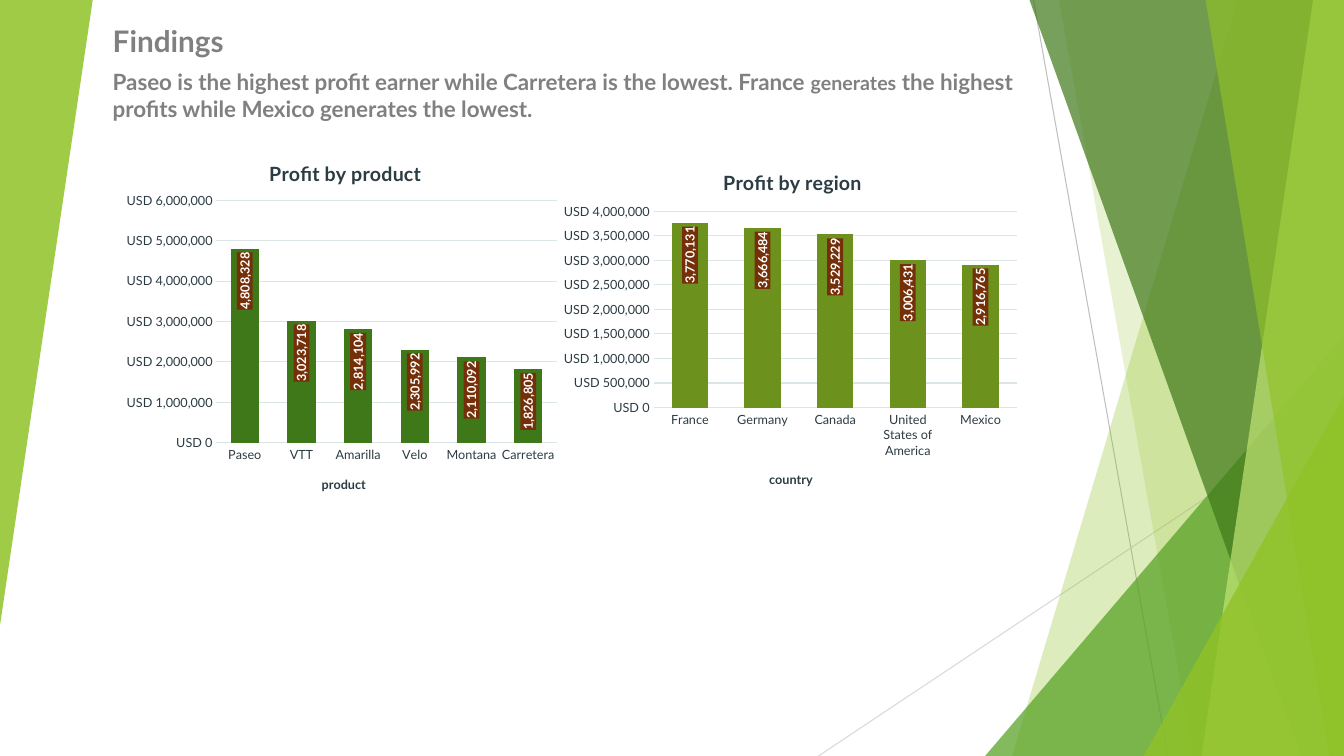
from typing import NamedTuple

from lxml import etree
from pptx import Presentation
from pptx import util as u
from pptx.chart.data import CategoryChartData
from pptx.dml.color import RGBColor
from pptx.enum import chart as ce, shapes as se
from pptx.oxml import parse_xml
from pptx.oxml.ns import nsdecls, qn

class Theme(NamedTuple):
    font: str = "Lato"
    heading: str = "808080"
    ink: str = "2C3C43"
    rule: str = "DBE4E7"
    label_text: str = "FFFFFF"
    label_fill: str = "75300A"
    lime: str = "90C226"
    pale_lime: str = "C0E474"
    leaf: str = "54A021"
    forest: str = "3F7819"
    olive: str = "6C921D"
    thin: float = 0.75
    heading_size: float = 21.2
    body_size: float = 16
    small_size: float = 14
    chart_size: float = 9

class Box(NamedTuple):  # percentages of the slide
    left: float
    top: float
    width: float
    height: float

    def emu(self) -> tuple[int, int, int, int]:
        return across(self.left), down(self.top), across(self.width), down(self.height)

class Ray(NamedTuple):
    start: tuple[float, float]
    end: tuple[float, float]
    color: str

class Facet(NamedTuple):  # full-height band from a slanted left edge to the right side
    top_x: float
    bottom_x: float
    color: str
    opacity: int

class Wedge(NamedTuple):
    box: Box
    color: str
    opacity: int
    rotation: int = 0

class Phrase(NamedTuple):
    words: str
    size: float

class ProfitChart(NamedTuple):  # plot and title_at are shares of the chart
    title: str
    axis_title: str
    box: Box
    color: str
    profits: dict[str, int]
    top_value: int
    step: int
    plot: tuple[float, ...]
    title_at: tuple[float, ...]

THEME = Theme()
WIDTH, HEIGHT = u.Inches(13.33), u.Inches(7.5)
AXIS_TITLE_AT = (0.45, 0.9)

BACKDROP = [
    Ray((76.9, 0), (86.9, 100), "BFBFBF"),
    Ray((100, 53.7), (60.9, 100), "D9D9D9"),
    Facet(92.1, 75.3, THEME.lime, 30),
    Facet(78.8, 88.8, THEME.lime, 20),
    Wedge(Box(73.3, 44.4, 26.7, 55.6), THEME.leaf, 72),
    Facet(76.6, 96.8, THEME.forest, 70),
    Facet(97.7, 89.4, THEME.pale_lime, 70),
    Facet(89.7, 98.9, THEME.lime, 65),
    Wedge(Box(85.1, 52.4, 14.9, 47.6), THEME.lime, 80),
    Wedge(Box(0, 0, 6.9, 82.7), THEME.lime, 85, 180),
]
SUMMARY = [
    Phrase("Paseo is the highest profit earner while Carretera is the lowest. France ", THEME.body_size),
    Phrase("generates", THEME.small_size),
    Phrase(" the highest profits while Mexico generates the lowest.", THEME.body_size),
]
CHARTS = [
    ProfitChart("Profit by region", "country", Box(41.26, 19.47, 35.1, 47.2), THEME.olive,
                {"France": 3770131, "Germany": 3666484, "Canada": 3529229,
                 "United States of America": 3006431, "Mexico": 2916765},
                4_000_000, 500_000, (0.21, 0.18, 0.77, 0.55), (0.35, 0.05)),
    ProfitChart("Profit by product", "product", Box(8.78, 18.13, 33.3, 49.33), THEME.forest,
                {"Paseo": 4808328, "VTT": 3023718, "Amarilla": 2814104,
                 "Velo": 2305992, "Montana": 2110092, "Carretera": 1826805},
                6_000_000, 1_000_000, (0.22, 0.17, 0.76, 0.65), (0.33, 0.05)),
]

def across(percent: float) -> int:
    return round(WIDTH * percent / 100)

def down(percent: float) -> int:
    return round(HEIGHT * percent / 100)

def style_font(font, size: float, color: str, bold: bool = False) -> None:
    font.name, font.size, font.bold = THEME.font, u.Pt(size), bold
    font.color.rgb = RGBColor.from_string(color)

def style_line(line, color: str) -> None:
    line.color.rgb = RGBColor.from_string(color)
    line.width = u.Pt(THEME.thin)

def paint(shape, color: str, opacity: int) -> None:
    shape.shadow.inherit = False
    shape.line.fill.background()
    shape.fill.solid()
    shape.fill.fore_color.rgb = RGBColor.from_string(color)
    tint = next(shape._element.spPr.iter(qn("a:srgbClr")))
    etree.SubElement(tint, qn("a:alpha"), val=str(opacity * 1000))

def draw_backdrop(slide, part: Ray | Facet | Wedge) -> None:
    if isinstance(part, Ray):
        (x1, y1), (x2, y2) = part.start, part.end
        ray = slide.shapes.add_connector(se.MSO_CONNECTOR.STRAIGHT, across(x1), down(y1), across(x2), down(y2))
        style_line(ray.line, part.color)
        etree.SubElement(ray._element.spPr, qn("a:effectLst"))
    elif isinstance(part, Facet):
        outline = slide.shapes.build_freeform(across(part.top_x), 0)
        outline.add_line_segments([(WIDTH, 0), (WIDTH, HEIGHT), (across(part.bottom_x), HEIGHT)], close=True)
        paint(outline.convert_to_shape(), part.color, part.opacity)
    else:
        wedge = slide.shapes.add_shape(se.MSO_SHAPE.ISOSCELES_TRIANGLE, *part.box.emu())
        wedge.adjustments[0] = 1
        wedge.rotation = part.rotation
        paint(wedge, part.color, part.opacity)

def write_text(slide, box: Box, phrases: list[Phrase]) -> None:
    frame = slide.shapes.add_textbox(*box.emu()).text_frame
    frame.word_wrap = True
    frame.paragraphs[0].space_before = u.Pt(10)
    for phrase in phrases:
        run = frame.paragraphs[0].add_run()
        run.text = phrase.words
        style_font(run.font, phrase.size, THEME.heading, True)

def place(element, shares: tuple[float, ...], target: str = "") -> None:
    for old in element.findall(qn("c:layout")):
        element.remove(old)
    modes = '<c:xMode val="edge"/><c:yMode val="edge"/>'
    sizes = "".join(f'<c:{key} val="{share}"/>' for key, share in zip("xywh", shares))
    layout = parse_xml(f'<c:layout {nsdecls("c")}><c:manualLayout>{target}{modes}{sizes}'
                       '</c:manualLayout></c:layout>')
    element.insert(0 if element.find(qn("c:tx")) is None else 1, layout)

def write_title(title, words: str, size: float, shares: tuple[float, ...]) -> None:
    run = title.text_frame.paragraphs[0].add_run()
    run.text = words
    style_font(run.font, size, THEME.ink, True)
    place(title._element, shares)

def label_bars(series) -> None:
    labels = series.data_labels
    labels.show_value = True
    labels.number_format, labels.number_format_is_linked = "#,##0", False
    labels.position = ce.XL_LABEL_POSITION.INSIDE_END
    style_font(labels.font, THEME.chart_size, THEME.label_text, True)
    text_props = labels._element.find(qn("c:txPr"))
    text_props.find(qn("a:bodyPr")).attrib.update({"rot": "-5400000", "vert": "horz"})
    text_props.addprevious(parse_xml(f'<c:spPr {nsdecls("c", "a")}><a:solidFill>'
                                     f'<a:srgbClr val="{THEME.label_fill}"/></a:solidFill></c:spPr>'))

def draw_chart(slide, item: ProfitChart) -> None:
    data = CategoryChartData()
    data.categories = list(item.profits)
    data.add_series("Series 1", list(item.profits.values()))
    chart = slide.shapes.add_chart(ce.XL_CHART_TYPE.COLUMN_CLUSTERED, *item.box.emu(), data).chart
    chart.has_legend = False
    style_font(chart.font, THEME.chart_size, THEME.ink)
    write_title(chart.chart_title, item.title, THEME.small_size, item.title_at)
    # Bars
    bars = chart.plots[0]
    bars.gap_width, bars.overlap, bars.vary_by_categories = 100, -24, False
    bars.series[0].format.fill.solid()
    bars.series[0].format.fill.fore_color.rgb = RGBColor.from_string(item.color)
    label_bars(bars.series[0])
    # Axes
    names, amounts = chart.category_axis, chart.value_axis
    for axis in (names, amounts):
        axis.major_tick_mark = axis.minor_tick_mark = ce.XL_TICK_MARK.NONE
        style_font(axis.tick_labels.font, THEME.chart_size, THEME.ink)
    style_line(names.format.line, THEME.rule)
    write_title(names.axis_title, item.axis_title, THEME.chart_size, AXIS_TITLE_AT)
    amounts.minimum_scale, amounts.maximum_scale, amounts.major_unit = 0, item.top_value, item.step
    amounts.tick_labels.number_format = r"[$USD]\ #,##0"
    amounts.tick_labels.number_format_is_linked = False
    amounts.format.line.fill.background()
    style_line(amounts.major_gridlines.format.line, THEME.rule)
    place(next(chart._chartSpace.iter(qn("c:plotArea"))), item.plot, '<c:layoutTarget val="inner"/>')

def main() -> None:
    deck = Presentation()
    deck.slide_width, deck.slide_height = WIDTH, HEIGHT
    slide = deck.slides.add_slide(deck.slide_layouts[6])
    # Backdrop, text, charts
    for part in BACKDROP:
        draw_backdrop(slide, part)
    write_text(slide, Box(7.65, 8.4, 70.05, 66.9), SUMMARY)
    write_text(slide, Box(7.65, 2.4, 70.05, 5.5), [Phrase("Findings", THEME.heading_size)])
    for item in CHARTS:
        draw_chart(slide, item)
    deck.save("out.pptx")

if __name__ == "__main__":
    main()
